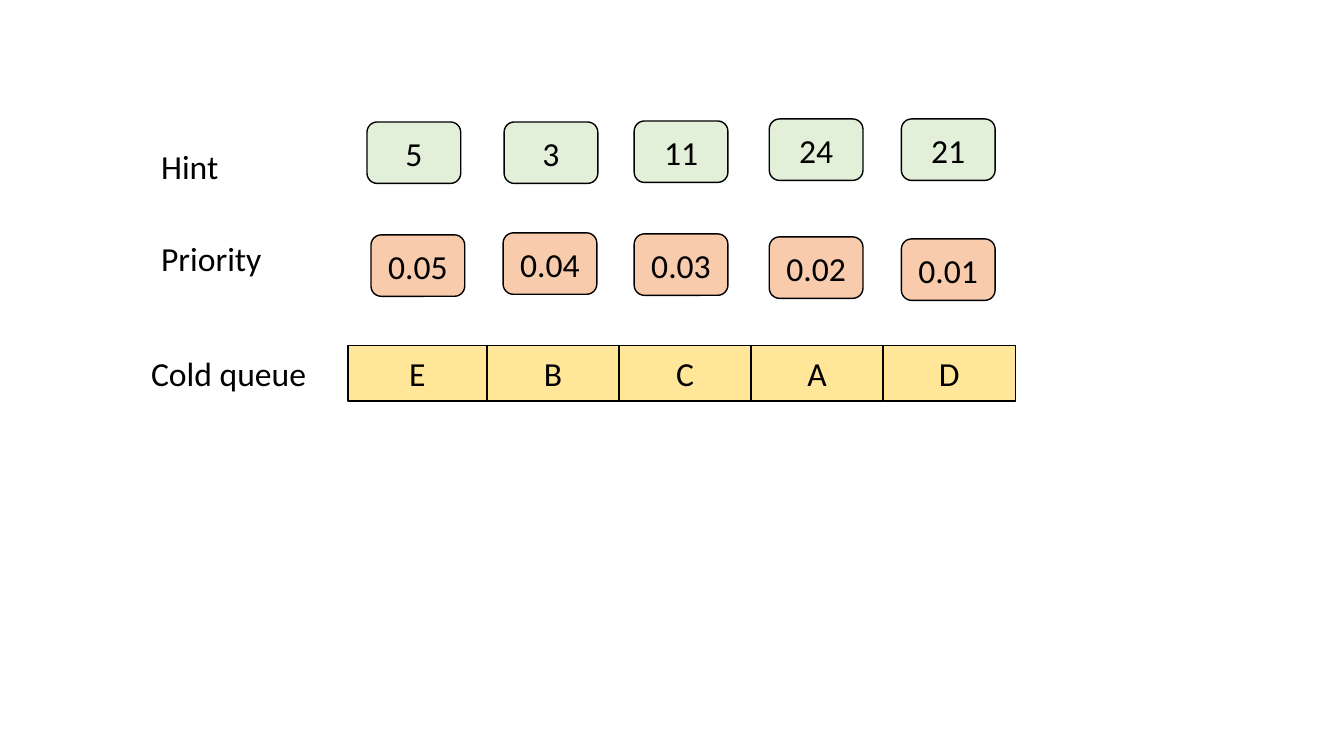
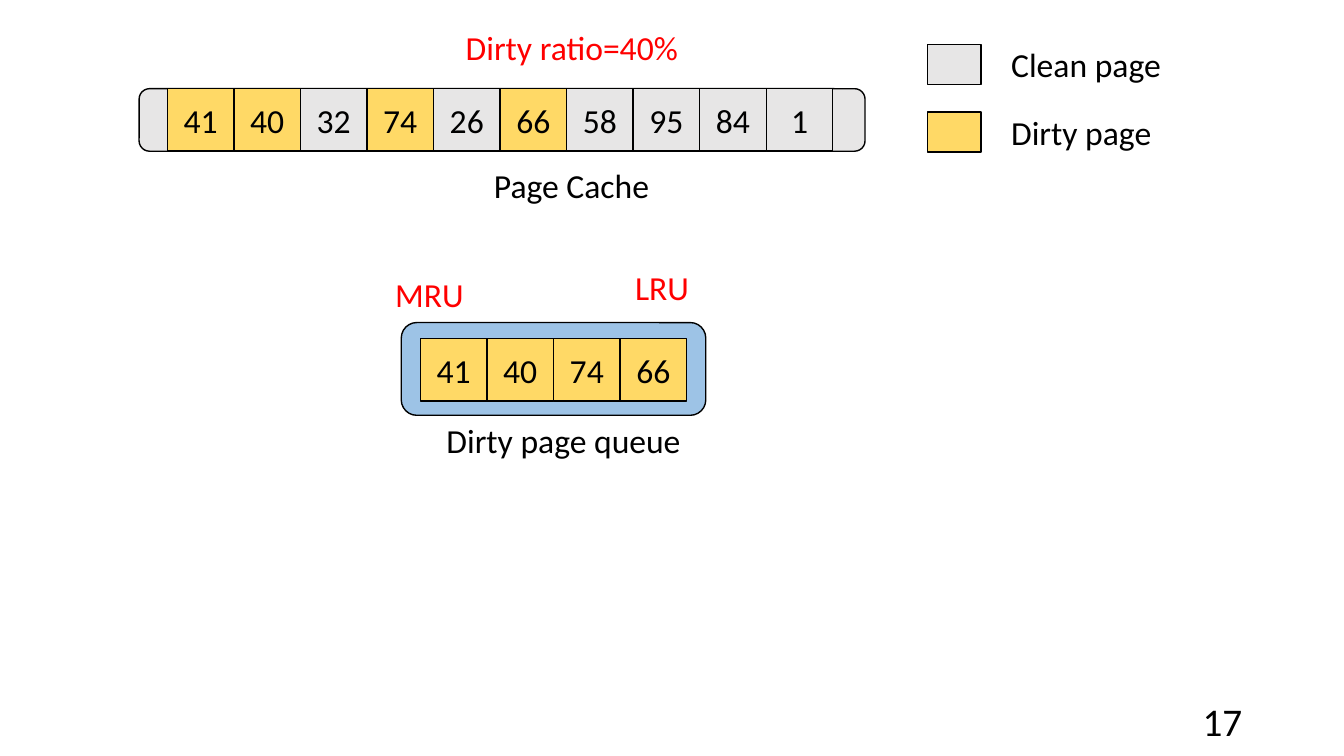
from dataclasses import dataclass

from pptx import Presentation
from pptx.dml.color import RGBColor
from pptx.enum.shapes import MSO_SHAPE
from pptx.enum.text import MSO_ANCHOR, MSO_AUTO_SIZE, PP_ALIGN
from pptx.util import Inches, Pt


@dataclass(frozen=True)
class Theme:
    font: str = "Calibri"
    text_size: int = 24
    number_size: int = 28
    outline_width: float = 1
    ink: str = "000000"
    accent: str = "FF0000"
    hint: str = "E2F0D9"
    priority: str = "F8CBAD"
    cold: str = "FFE699"
    clean: str = "E7E6E6"
    dirty: str = "FFD966"
    queue: str = "9DC3E6"


THEME = Theme()
BLANK_LAYOUT = 6
BOX_WIDTH, BOX_HEIGHT = 0.93, 0.61
PAGE_WIDTH, PAGE_HEIGHT = 0.66, 0.62
LABEL_HEIGHT = 0.5


def write(frame, text, size=THEME.text_size, color=THEME.ink,
          align=PP_ALIGN.LEFT, anchor=MSO_ANCHOR.TOP):
    frame.word_wrap = True
    frame.vertical_anchor = anchor
    paragraph = frame.paragraphs[0]
    paragraph.alignment = align
    run = paragraph.add_run()
    run.text = text
    run.font.name = THEME.font
    run.font.size = Pt(size)
    run.font.color.rgb = RGBColor.from_string(color)


def add_label(slide, text, left, top, width, **text_format):
    label = slide.shapes.add_textbox(
        Inches(left), Inches(top), Inches(width), Inches(LABEL_HEIGHT))
    write(label.text_frame, text, **text_format)
    label.text_frame.auto_size = MSO_AUTO_SIZE.SHAPE_TO_FIT_TEXT


def add_box(slide, left, top, width, height, fill, text="", rounded=False):
    """Add an outlined box with optional centred text."""
    preset = MSO_SHAPE.ROUNDED_RECTANGLE if rounded else MSO_SHAPE.RECTANGLE
    box = slide.shapes.add_shape(
        preset, Inches(left), Inches(top), Inches(width), Inches(height))
    box.shadow.inherit = False
    box.fill.solid()
    box.fill.fore_color.rgb = RGBColor.from_string(fill)
    box.line.color.rgb = RGBColor.from_string(THEME.ink)
    box.line.width = Pt(THEME.outline_width)
    if text:
        write(box.text_frame, text, align=PP_ALIGN.CENTER,
              anchor=MSO_ANCHOR.MIDDLE)


def add_value_boxes(slide, values, fill):
    """Add one rounded box for each (text, left, top)."""
    for text, left, top in values:
        add_box(slide, left, top, BOX_WIDTH, BOX_HEIGHT, fill, text,
                rounded=True)


def add_pages(slide, left, top, pages, dirty_pages):
    """Add a row of touching pages, coloured by whether they are dirty."""
    for index, page in enumerate(pages):
        fill = THEME.dirty if page in dirty_pages else THEME.clean
        add_box(slide, left + index * PAGE_WIDTH, top,
                PAGE_WIDTH, PAGE_HEIGHT, fill, page)


def add_slide_number(slide, number):
    corner = slide.shapes.add_textbox(
        Inches(9.42), Inches(6.95), Inches(3), Inches(0.4))
    write(corner.text_frame, number, size=THEME.number_size,
          align=PP_ALIGN.RIGHT, anchor=MSO_ANCHOR.MIDDLE)


def build_cold_queue(slide):
    add_label(slide, "Hint", 1.5, 1.4, 0.83)
    add_label(slide, "Priority", 1.5, 2.31, 1.3)
    add_label(slide, "Cold queue", 1.4, 3.45, 1.83)

    hints = [("5", 3.64, 1.21), ("3", 5, 1.21), ("11", 6.29, 1.2),
             ("24", 7.63, 1.18), ("21", 8.94, 1.18)]
    priorities = [("0.05", 3.68, 2.33), ("0.04", 4.99, 2.31),
                  ("0.03", 6.29, 2.32), ("0.02", 7.63, 2.35),
                  ("0.01", 8.94, 2.37)]
    add_value_boxes(slide, hints, THEME.hint)
    add_value_boxes(slide, priorities, THEME.priority)

    left = 3.45
    for entry in "EBCAD":
        width = 1.38 if entry == "E" else 1.31
        add_box(slide, left, 3.43, width, 0.55, THEME.cold, entry)
        left += width


def build_page_cache(slide):
    cached_pages = ["41", "40", "32", "74", "26", "66", "58", "95", "84", "1"]
    dirty_pages = ["41", "40", "74", "66"]

    add_slide_number(slide, "17")
    add_box(slide, 1.38, 0.88, 7.2, PAGE_HEIGHT, THEME.clean, rounded=True)
    add_pages(slide, 1.66, 0.88, cached_pages, dirty_pages)
    add_label(slide, "Page Cache", 4.8, 1.59, 1.81)
    add_label(slide, "Dirty ratio=40%", 4.52, 0.22, 2.51, color=THEME.accent)

    legend = [("Clean page", THEME.clean), ("Dirty page", THEME.dirty)]
    for index, (meaning, fill) in enumerate(legend):
        top = 0.44 + index * 0.67
        add_box(slide, 9.2, top, 0.53, 0.4, fill)
        add_label(slide, meaning, 9.93, top - 0.05, 1.75)

    add_box(slide, 3.98, 3.2, 3.02, 0.92, THEME.queue, rounded=True)
    add_pages(slide, 4.17, 3.36, dirty_pages, dirty_pages)
    add_label(slide, "Dirty page queue", 4.33, 4.12, 2.74)
    add_label(slide, "MRU", 3.82, 2.67, 1.09, color=THEME.accent)
    add_label(slide, "LRU", 6.2, 2.6, 0.8, color=THEME.accent)


def main():
    deck = Presentation()
    deck.slide_width, deck.slide_height = Inches(13.33), Inches(7.5)
    for build in (build_cold_queue, build_page_cache):
        build(deck.slides.add_slide(deck.slide_layouts[BLANK_LAYOUT]))
    deck.save("out.pptx")


if __name__ == "__main__":
    main()
